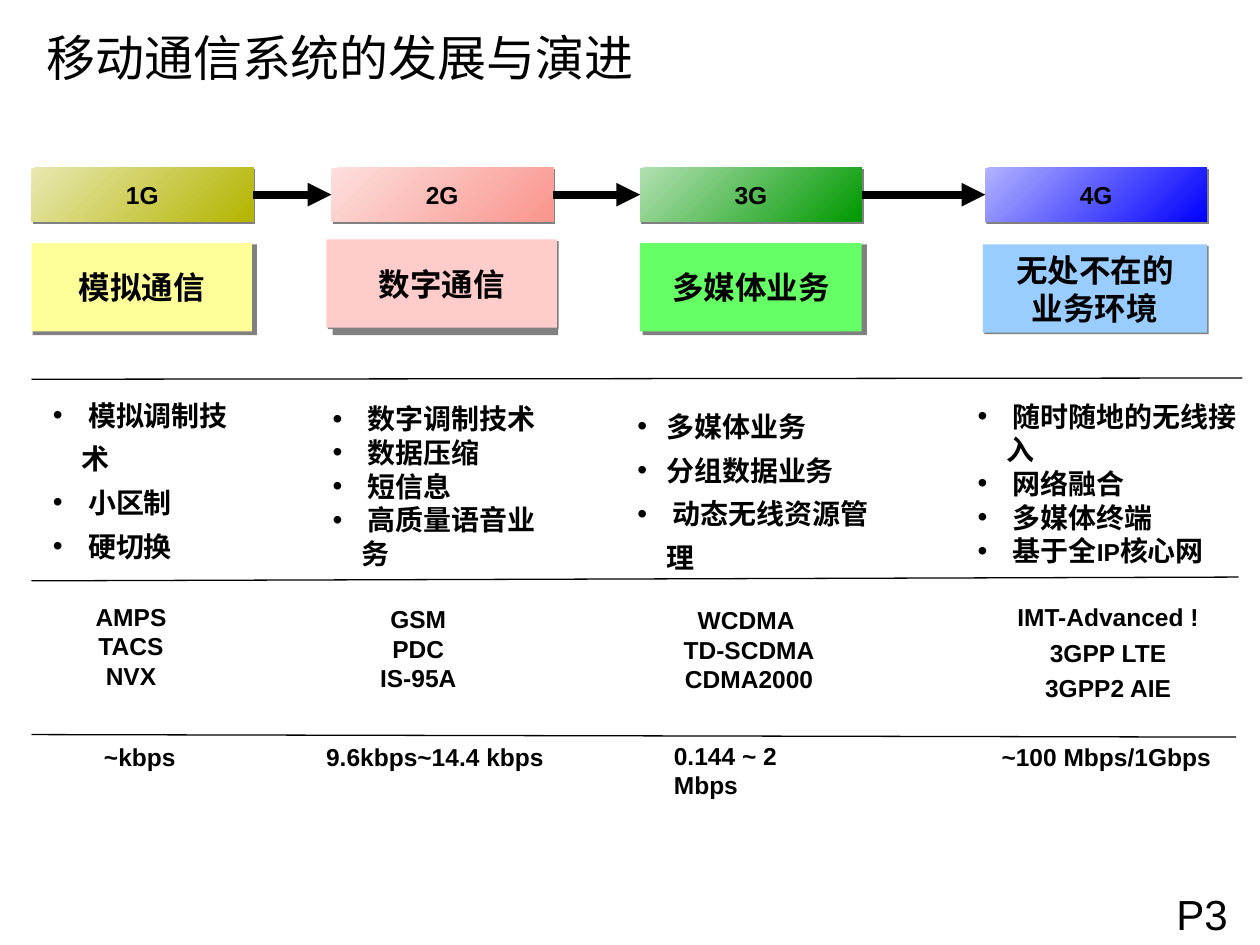
from lxml import etree
from pptx import Presentation
from pptx import util as u
from pptx.dml.color import RGBColor
from pptx.enum import shapes, text
from pptx.oxml.ns import qn

TITLE = "移动通信系统的发展与演进"
PAGE = "P3"
LEFT, CENTER = text.PP_ALIGN.LEFT, text.PP_ALIGN.CENTER
TOP, MIDDLE = text.MSO_ANCHOR.TOP, text.MSO_ANCHOR.MIDDLE
STAGE_W, STAGE_Y, STAGE_H = 1.76, 1.33, 0.43
INDENT = 0.23

# Boxes are (left, top, width, height) in inches. "backing" is a grey block
# behind the service panel; "shadow" gives the panel a thin shadow.
GENERATIONS = [
    dict(name="1G", left=0.25, gradient=("E8E8B2", "B4B400"),
         service=["模拟通信"], panel=(0.25, 1.93, 1.75, 0.7), fill="FFFF99",
         backing=(0.26, 1.94, 1.78, 0.72), shadow=False,
         features=[" 模拟调制技术", " 小区制", " 硬切换"],
         features_box=(0.42, 3.08, 1.47, 1.04), features_spacing=1.3,
         standards=["AMPS", "TACS", "NVX"],
         standards_box=(0.29, 4.77, 1.5, 0.76), standards_spacing=(0.8, 0.8),
         rate="~kbps", rate_box=(0.36, 5.84, 1.5, 0.34), rate_align=CENTER),
    dict(name="2G", left=2.63, gradient=("FDDFDD", "F9958D"),
         service=["数字通信"], panel=(2.59, 1.9, 1.83, 0.7), fill="FFCCCC",
         backing=(2.64, 1.94, 1.79, 0.72), shadow=True,
         features=[" 数字调制技术", " 数据压缩", " 短信息", " 高质量语音业务"],
         features_box=(2.64, 3.19, 1.76, 1.07), features_spacing=1.0,
         standards=["GSM", "PDC", "IS-95A"],
         standards_box=(2.57, 4.79, 1.5, 0.76), standards_spacing=(0.8, 0.8),
         rate="9.6kbps~14.4 kbps", rate_box=(2.49, 5.84, 1.97, 0.34),
         rate_align=LEFT),
    dict(name="3G", left=5.08, gradient=("B2E0B2", "009900"),
         service=["多媒体业务"], panel=(5.08, 1.93, 1.76, 0.7), fill="66FF66",
         backing=(5.1, 1.94, 1.78, 0.72), shadow=False,
         features=["多媒体业务", "分组数据业务", " 动态无线资源管理"],
         features_box=(5.06, 3.17, 1.96, 1.04), features_spacing=1.3,
         standards=["WCDMA ", "TD-SCDMA", "CDMA2000"],
         standards_box=(5.09, 4.75, 1.71, 0.81), standards_spacing=(1.0, 0.8),
         rate="0.144 ~ 2 Mbps", rate_box=(5.25, 5.83, 1.57, 0.57),
         rate_align=LEFT),
    dict(name="4G", left=7.82, gradient=("B2B2FF", "0000FF"),
         service=["无处不在的", "业务环境"], panel=(7.8, 1.94, 1.78, 0.7),
         fill="99CCFF", backing=None, shadow=True,
         features=[" 随时随地的无线接入", " 网络融合", " 多媒体终端",
                   [(" 基于全", 16), ("IP", 14), ("核心网", 16)]],
         features_box=(7.76, 3.17, 2.13, 1.07), features_spacing=1.0,
         standards=["IMT-Advanced !", "3GPP LTE", "3GPP2 AIE"],
         standards_box=(7.86, 4.73, 1.87, 0.9), standards_spacing=(1.0, 1.0),
         rate="~100 Mbps/1Gbps", rate_box=(7.85, 5.84, 1.91, 0.34),
         rate_align=LEFT),
]
RULES = [(0.25, 3.01, 9.86, 3.0), (0.25, 4.61, 9.83, 4.58),
         (0.25, 5.83, 9.81, 5.85)]


def inches(values):
    return [u.Inches(v) for v in values]


def color(value):
    return RGBColor.from_string(value)


def add_bullet(p):
    pPr = p._p.get_or_add_pPr()
    pPr.set("marL", str(u.Inches(INDENT)))
    pPr.set("indent", str(-u.Inches(INDENT)))
    etree.SubElement(pPr, qn("a:buFont")).set("typeface", "Arial")
    etree.SubElement(pPr, qn("a:buChar")).set("char", "•")


def write(sp, lines, size=14, bold=True, align=LEFT, anchor=TOP,
          margins=(0.1, 0.05), spacing=(1.0, 1.0), before=0, bullet=False):
    """Fill sp; spacing is for the first and the later lines, before for later ones."""
    tf = sp.text_frame
    tf.word_wrap = True
    tf.vertical_anchor = anchor
    tf.margin_left = tf.margin_right = u.Inches(margins[0])
    tf.margin_top = tf.margin_bottom = u.Inches(margins[1])
    for i, line in enumerate(lines):
        p = tf.paragraphs[0] if i == 0 else tf.add_paragraph()
        p.alignment = align
        p.line_spacing = spacing[min(i, 1)]
        if i and before:
            p.space_before = u.Pt(before)
        if bullet:
            add_bullet(p)
        for part, part_size in [(line, size)] if isinstance(line, str) else line:
            r = p.add_run()
            r.text = part
            r.font.name = "Arial"
            r.font.size = u.Pt(part_size)
            r.font.bold = bold
            r.font.color.rgb = color("000000")


def add_text(s, box, lines, **fmt):
    write(s.shapes.add_textbox(*inches(box)), lines, **fmt)


def add_block(s, box, fill, shadow=False):
    """Rectangle with a solid fill (hex string) or a diagonal gradient (pair)."""
    sp = s.shapes.add_shape(shapes.MSO_SHAPE.RECTANGLE, *inches(box))
    sp.shadow.inherit = False
    sp.line.fill.background()
    if isinstance(fill, str):
        sp.fill.solid()
        sp.fill.fore_color.rgb = color(fill)
    else:
        sp.fill.gradient()
        sp.fill.gradient_angle = 315
        for stop, value in zip(sp.fill.gradient_stops, fill):
            stop.color.rgb = color(value)
    if shadow:
        effects = sp._element.spPr.find(qn("a:effectLst"))
        outer = etree.SubElement(effects, qn("a:outerShdw"), blurRad="0",
                                 dist=str(u.Pt(1.4)), dir="2700000",
                                 algn="ctr", rotWithShape="0")
        etree.SubElement(outer, qn("a:srgbClr")).set("val", "808080")
    return sp


def add_line(s, ends, width):
    c = s.shapes.add_connector(shapes.MSO_CONNECTOR.STRAIGHT, *inches(ends))
    c.line.color.rgb = color("000000")
    c.line.width = u.Pt(width)
    etree.SubElement(c._element.spPr, qn("a:effectLst"))
    return c


def add_arrow(s, start, end):
    c = add_line(s, (0, 0, 0, 0), 4.5)
    c.begin_connect(start, 3)
    c.end_connect(end, 1)
    etree.SubElement(c.line._get_or_add_ln(), qn("a:tailEnd")).set("type", "triangle")


def add_generation(s, g):
    """Draw one column and return its stage block."""
    if g["backing"]:
        add_block(s, g["backing"], "808080")
    panel = add_block(s, g["panel"], g["fill"], g["shadow"])
    write(panel, g["service"], size=18, align=CENTER, anchor=MIDDLE)
    add_text(s, g["features_box"], g["features"], size=16, margins=(0, 0),
             spacing=(g["features_spacing"],) * 2, bullet=True)
    add_text(s, g["standards_box"], g["standards"], align=CENTER,
             spacing=g["standards_spacing"], before=3.5)
    add_text(s, g["rate_box"], [g["rate"]], align=g["rate_align"])
    stage = add_block(s, (g["left"], STAGE_Y, STAGE_W, STAGE_H), g["gradient"], True)
    write(stage, [g["name"]], align=CENTER, anchor=MIDDLE, margins=(0.04, 0.04))
    return stage


def main():
    prs = Presentation()
    prs.slide_width, prs.slide_height = inches((10, 7.5))
    s = prs.slides.add_slide(prs.slide_layouts[6])
    add_text(s, (0.27, 0, 9, 0.9), [TITLE], size=28, bold=False, anchor=MIDDLE)
    stages = [add_generation(s, g) for g in GENERATIONS]
    for start, end in zip(stages, stages[1:]):
        add_arrow(s, start, end)
    for ends in RULES:
        add_line(s, ends, 0.75)
    add_text(s, (9.08, 7, 0.92, 0.5), [PAGE], size=24, bold=False, align=CENTER)
    prs.save("out.pptx")


if __name__ == "__main__":
    main()
